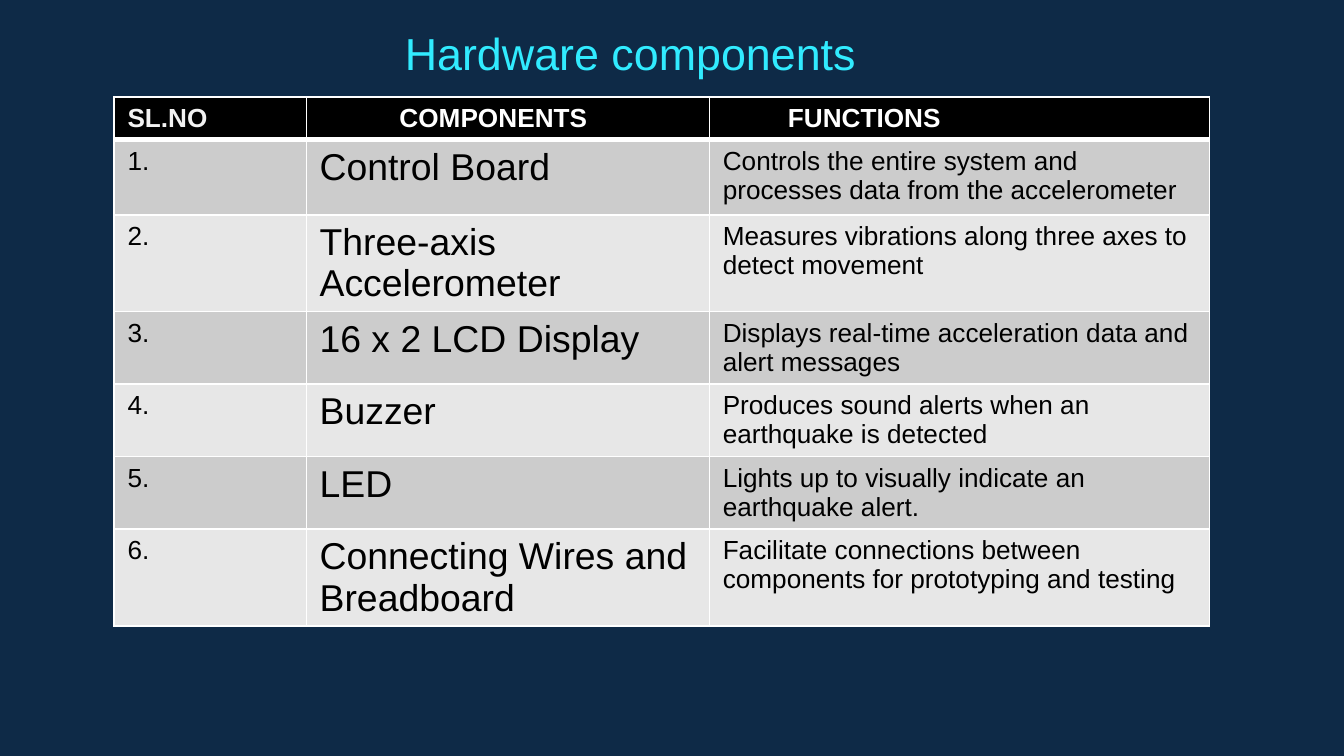
import pptx
import pptx.dml.color
import pptx.enum.text
import pptx.oxml.ns
import pptx.util
from lxml import etree

Cm = pptx.util.Cm
Pt = pptx.util.Pt
RGBColor = pptx.dml.color.RGBColor

NAVY = RGBColor(0x0E, 0x2A, 0x47)
CYAN = RGBColor(0x31, 0xEB, 0xFF)
BLACK = RGBColor(0, 0, 0)
WHITE = RGBColor(0xFF, 0xFF, 0xFF)
OFF_WHITE = RGBColor(0xF2, 0xF2, 0xF2)
BAND_DARK = RGBColor(0xCC, 0xCC, 0xCC)
BAND_LIGHT = RGBColor(0xE7, 0xE7, 0xE7)

COLUMN_WIDTHS = [3.63, 7.62, 9.45]
ROW_HEIGHTS = [0.81, 1.42, 1.83, 1.37, 1.37, 1.37, 1.83]
HEADERS = [("SL.NO", OFF_WHITE, 0), ("COMPONENTS", WHITE, 1.51), ("FUNCTIONS", WHITE, 1.23)]
COMPONENTS = [
    ("Control Board", "Controls the entire system and processes data from the accelerometer"),
    ("Three-axis Accelerometer", "Measures vibrations along three axes to detect movement"),
    ("16 x 2 LCD Display", "Displays real-time acceleration data and alert messages"),
    ("Buzzer", "Produces sound alerts when an earthquake is detected"),
    ("LED", "Lights up to visually indicate an earthquake alert."),
    ("Connecting Wires and Breadboard",
     "Facilitate connections between components for prototyping and testing"),
]


class SlideBuilder:
    font_name = "Arial"
    body_size = 14
    component_size = 20
    title_size = 24

    def __init__(self, presentation):
        self.slide = presentation.slides.add_slide(presentation.slide_layouts[6])

    def background(self, color):
        fill = self.slide.background.fill
        fill.solid()
        fill.fore_color.rgb = color

    def style_text(self, paragraph, text, size, color, bold=False):
        paragraph.text = text
        font = paragraph.font
        font.name = self.font_name
        font.size = Pt(size)
        font.bold = bold
        font.color.rgb = color

    def title(self, text, left, top, width, height):
        shape = self.slide.shapes.add_textbox(Cm(left), Cm(top), Cm(width), Cm(height))
        shape.text_frame.word_wrap = True
        paragraph = shape.text_frame.paragraphs[0]
        paragraph.alignment = pptx.enum.text.PP_ALIGN.CENTER
        self.style_text(paragraph, text, self.title_size, CYAN)

    def border(self, cell, side, width):
        properties = cell._tc.get_or_add_tcPr()
        line = etree.SubElement(properties, pptx.oxml.ns.qn(f"a:ln{side}"), w=str(Pt(width)))
        fill = etree.SubElement(line, pptx.oxml.ns.qn("a:solidFill"))
        etree.SubElement(fill, pptx.oxml.ns.qn("a:srgbClr"), val=str(WHITE))

    def cell(self, cell, text, size, color, fill, bold=False, indent=0, top=1, bottom=1):
        for side, width in (("L", 1), ("R", 1), ("T", top), ("B", bottom)):
            self.border(cell, side, width)
        cell.fill.solid()
        cell.fill.fore_color.rgb = fill
        cell.margin_left = Cm(0.25 + indent)
        self.style_text(cell.text_frame.paragraphs[0], text, size, color, bold)

    def component_table(self, left, top):
        table = self.slide.shapes.add_table(
            len(ROW_HEIGHTS), len(COLUMN_WIDTHS), Cm(left), Cm(top),
            Cm(sum(COLUMN_WIDTHS)), Cm(sum(ROW_HEIGHTS))).table
        for column, width in zip(table.columns, COLUMN_WIDTHS):
            column.width = Cm(width)
        for row, height in zip(table.rows, ROW_HEIGHTS):
            row.height = Cm(height)
        for column, (text, color, indent) in enumerate(HEADERS):
            self.cell(table.cell(0, column), text, self.body_size, color, BLACK,
                      bold=True, indent=indent, bottom=3)
        sizes = [self.body_size, self.component_size, self.body_size]
        for row, (name, function) in enumerate(COMPONENTS, 1):
            fill = BAND_DARK if row % 2 else BAND_LIGHT
            for column, text in enumerate((f"{row}.", name, function)):
                self.cell(table.cell(row, column), text, sizes[column], BLACK, fill,
                          top=3 if row == 1 else 1)


def main():
    presentation = pptx.Presentation()
    presentation.slide_width = Cm(25.4)
    presentation.slide_height = Cm(14.29)
    builder = SlideBuilder(presentation)
    builder.background(NAVY)
    builder.component_table(2.16, 1.83)
    builder.title("Hardware components", 5.56, 0.36, 12.7, 1.27)
    presentation.save("out.pptx")


if __name__ == "__main__":
    main()
